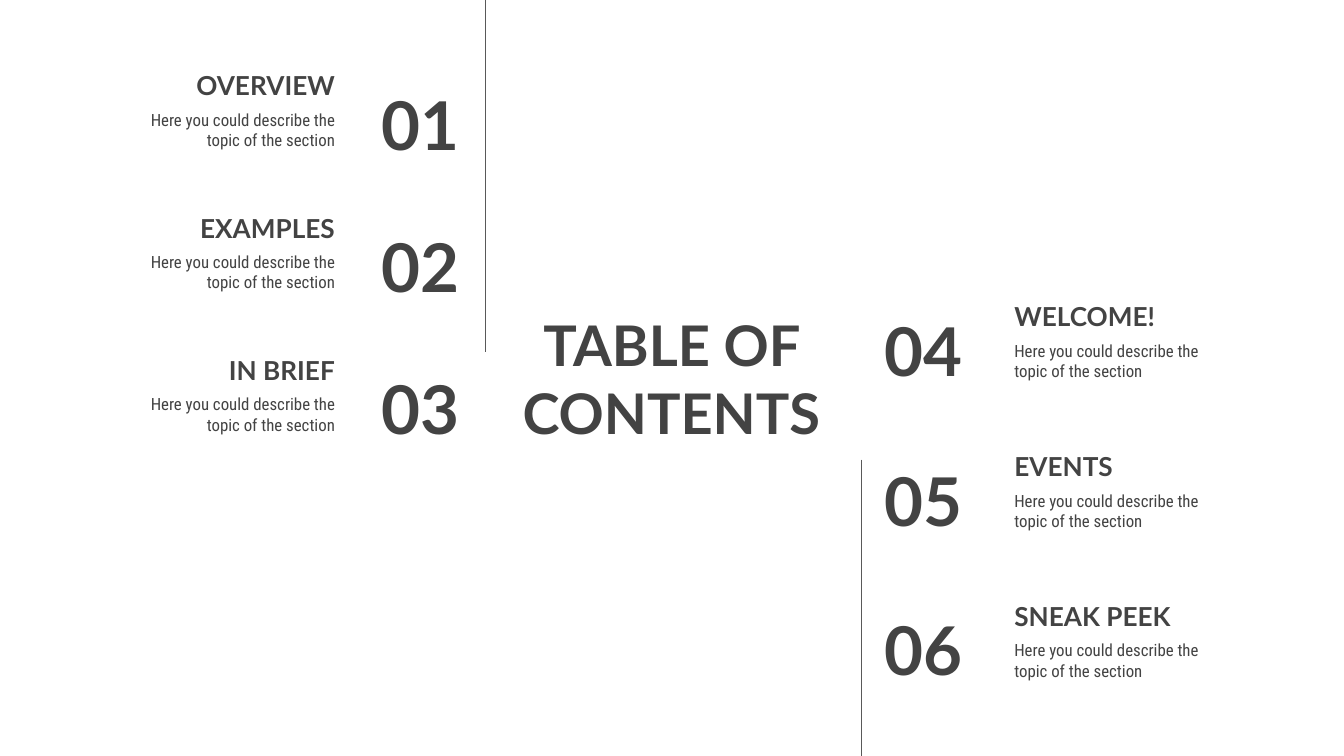
from dataclasses import dataclass

from lxml.etree import SubElement
from pptx import Presentation
from pptx.dml.color import RGBColor
from pptx.enum.shapes import MSO_CONNECTOR as Connector
from pptx.enum.text import MSO_ANCHOR as Anchor, PP_ALIGN as Align
from pptx.oxml.ns import qn
from pptx.util import Cm, Pt


@dataclass(frozen=True)
class Theme:
    text_color: RGBColor = RGBColor(0x43, 0x43, 0x43)
    line_color: RGBColor = RGBColor(0x59, 0x59, 0x59)
    display_font: str = "Lato"
    body_font: str = "Roboto Condensed"
    title_size: int = 30
    number_size: int = 36
    heading_size: int = 14
    body_size: int = 9
    line_width: float = 0.75
    inset: float = 0.25


@dataclass(frozen=True)
class Column:
    """Places for a stack of sections, in centimetres; offsets run from the heading's top."""
    align: Align
    top: float
    pitch: float
    heading_left: float
    body_left: float
    number_left: float
    number_width: float
    number_offset: float


BOX_HEIGHT = 1.6
HEADING_WIDTH = 5.49
BODY_WIDTH = 4.65
BODY_OFFSET = 1.26
DESCRIPTION = "Here you could describe the topic of the section"

LEFT_COLUMN = Column(Align.RIGHT, 0.56, 2.69, 1.09, 1.93, 5.86, 3.07, 0.97)
RIGHT_COLUMN = Column(Align.LEFT, 4.93, 2.83, 18.92, 18.92, 16.46, 2.97, 0.88)
SECTIONS = [
    (LEFT_COLUMN, ["OVERVIEW", "EXAMPLES", "IN BRIEF"]),
    (RIGHT_COLUMN, ["WELCOME!", "EVENTS", "SNEAK PEEK"]),
]


class ContentsSlide:
    def __init__(self, slide, theme):
        self.slide = slide
        self.theme = theme

    def text(self, words, left, top, width, height, size,
             align, anchor=Anchor.MIDDLE, font=None, bold=True):
        shape = self.slide.shapes.add_textbox(Cm(left), Cm(top), Cm(width), Cm(height))
        frame = shape.text_frame
        frame.word_wrap = True
        frame.vertical_anchor = anchor
        frame.margin_left = frame.margin_right = Cm(self.theme.inset)
        frame.margin_top = frame.margin_bottom = Cm(self.theme.inset)
        frame.text = words
        paragraph = frame.paragraphs[0]
        paragraph.alignment = align
        run_font = paragraph.runs[0].font
        run_font.name = font or self.theme.display_font
        run_font.size = Pt(size)
        run_font.bold = bold
        run_font.color.rgb = self.theme.text_color

    def vertical_line(self, x, top, bottom):
        line = self.slide.shapes.add_connector(
            Connector.STRAIGHT, Cm(x), Cm(top), Cm(x), Cm(bottom))
        line.line.color.rgb = self.theme.line_color
        line.line.width = Pt(self.theme.line_width)
        SubElement(line._element.spPr, qn("a:effectLst"))

    def section(self, column, row, number, heading):
        theme = self.theme
        top = column.top + row * column.pitch
        self.text(heading, column.heading_left, top, HEADING_WIDTH, BOX_HEIGHT,
                  theme.heading_size, column.align, Anchor.BOTTOM)
        self.text(DESCRIPTION, column.body_left, top + BODY_OFFSET, BODY_WIDTH, BOX_HEIGHT,
                  theme.body_size, column.align, Anchor.TOP, theme.body_font, bold=False)
        self.text(f"{number:02}", column.number_left, top + column.number_offset,
                  column.number_width, BOX_HEIGHT, theme.number_size, column.align)


def main():
    presentation = Presentation()
    presentation.slide_width = Cm(25.4)
    presentation.slide_height = Cm(14.29)
    theme = Theme()
    contents = ContentsSlide(
        presentation.slides.add_slide(presentation.slide_layouts[6]), theme)

    contents.text("TABLE OF CONTENTS", 9.4, 5.84, 6.58, 2.62, theme.title_size, Align.CENTER)
    contents.vertical_line(9.17, 0, 6.65)
    contents.vertical_line(16.28, 8.69, 14.29)

    number = 1
    for column, headings in SECTIONS:
        for row, heading in enumerate(headings):
            contents.section(column, row, number, heading)
            number += 1

    presentation.save("out.pptx")


if __name__ == "__main__":
    main()
